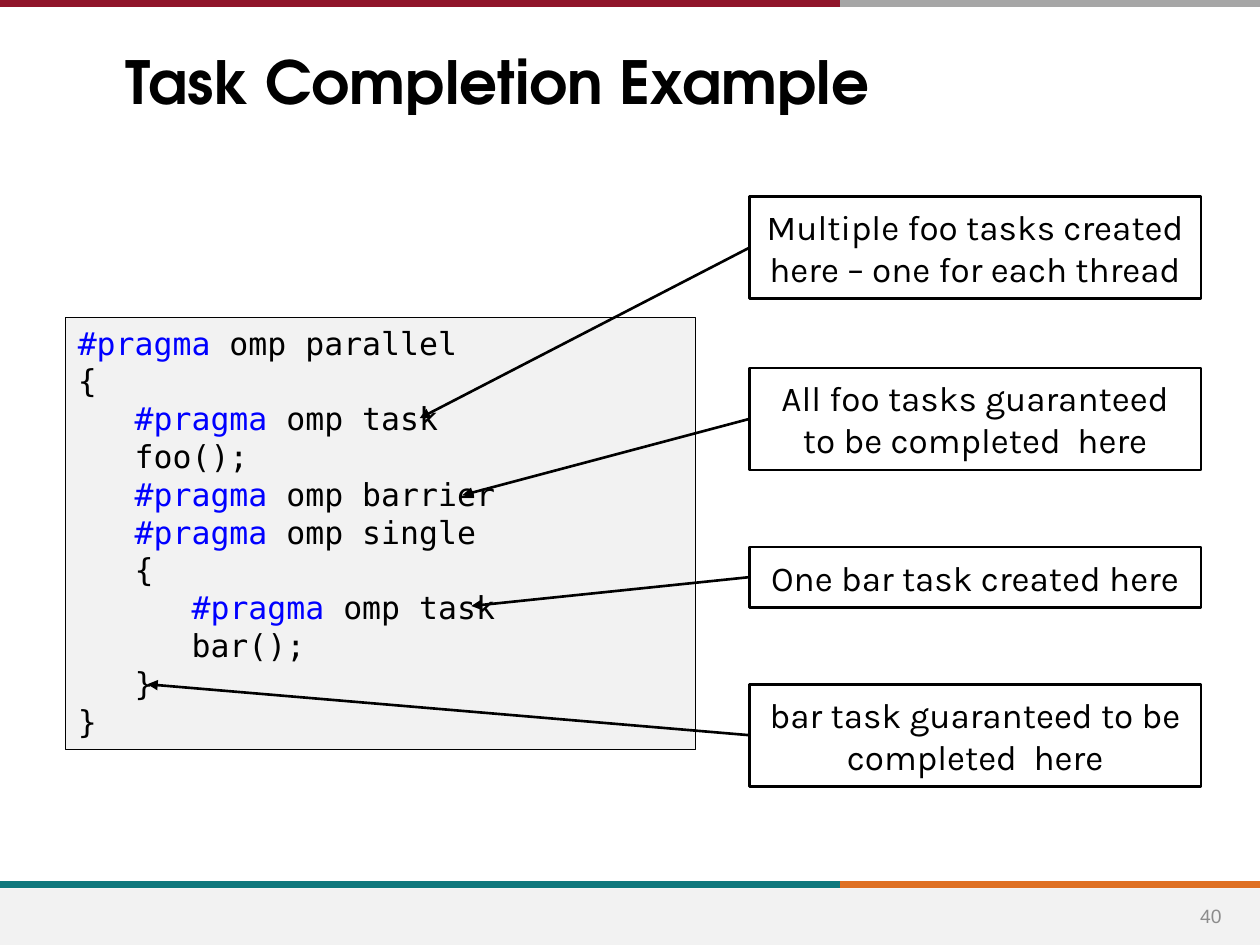
from lxml import etree
from pptx import Presentation
from pptx.dml.color import RGBColor
from pptx.enum.shapes import MSO_CONNECTOR, MSO_SHAPE
from pptx.enum.text import MSO_ANCHOR, PP_ALIGN
from pptx.oxml.ns import qn
from pptx.util import Pt

STRAIGHT, RECT = MSO_CONNECTOR.STRAIGHT, MSO_SHAPE.RECTANGLE
LEFT, CENTER = PP_ALIGN.LEFT, PP_ALIGN.CENTER
TOP, MIDDLE = MSO_ANCHOR.TOP, MSO_ANCHOR.MIDDLE
WIDTH, HEIGHT, SPLIT = 720, 540, 480

COLORS = {
    "black": "000000", "keyword": "0000FF", "panel": "F2F2F2", "number": "8C8C8C",
    "crimson": "90152A", "gray": "A6A6A6", "teal": "0F787D", "orange": "DF7023",
}
STYLES = {
    "title": {"name": "TeX Gyre Adventor", "size": Pt(34), "bold": True},
    "code": {"name": "DejaVu Sans Mono", "size": Pt(18)},
    "callout": {"name": "Karla", "size": Pt(20)},
    "number": {"name": "Arial", "size": Pt(11)},
}
PRAGMA = "#pragma "
CODE = """#pragma omp parallel
{
   #pragma omp task
   foo();
   #pragma omp barrier
   #pragma omp single
   {
      #pragma omp task
      bar();
   }
}"""
CALLOUTS = [
    ("Multiple foo tasks created here – one for each thread", 112.3, 58.3, (239.8, 239)),
    ("All foo tasks guaranteed to be completed  here", 210.2, 58.3, (264.2, 283)),
    ("One bar task created here", 312.5, 34.6, (269.3, 346.3)),
    ("bar task guaranteed to be completed  here", 391, 58.3, (84.2, 391)),
]


def rgb(color):
    """Return the named colour."""
    return RGBColor.from_string(COLORS[color])


def add_run(paragraph, text, style, color="black"):
    """Append a run in the given style and colour."""
    run = paragraph.add_run()
    run.text = text
    for attribute, value in STYLES[style].items():
        setattr(run.font, attribute, value)
    run.font.color.rgb = rgb(color)


def add_line(slide, start, end, color, width, arrow=False):
    """Draw a straight line, with an arrowhead at its end if asked."""
    line = slide.shapes.add_connector(STRAIGHT, *map(Pt, (*start, *end)))
    line.line.color.rgb = rgb(color)
    line.line.width = Pt(width)
    if arrow:
        etree.SubElement(line.line._get_or_add_ln(), qn("a:tailEnd"), type="triangle")
    etree.SubElement(line._element.spPr, qn("a:effectLst"))


def add_box(slide, box, fill=None, border=None):
    """Draw a rectangle with an optional fill and black border."""
    shape = slide.shapes.add_shape(RECT, *map(Pt, box))
    shape.shadow.inherit = False
    if fill:
        shape.fill.solid()
        shape.fill.fore_color.rgb = rgb(fill)
    else:
        shape.fill.background()
    if border:
        shape.line.color.rgb = rgb("black")
        shape.line.width = Pt(border)
    else:
        shape.line.fill.background()
    return shape


def set_frame(shape, anchor, alignment):
    """Set up wrapping text and return its first paragraph."""
    frame = shape.text_frame
    frame.word_wrap = True
    frame.vertical_anchor = anchor
    frame.paragraphs[0].alignment = alignment
    return frame.paragraphs[0]


def add_label(slide, box, text, style, color, anchor, alignment):
    """Place a plain line of text in the box."""
    label = slide.shapes.add_textbox(*map(Pt, box))
    add_run(set_frame(label, anchor, alignment), text, style, color)


def add_band(slide, y, left_color, right_color):
    """Draw a two-coloured rule across the slide."""
    add_line(slide, (SPLIT, y), (WIDTH, y), right_color, 4)
    add_line(slide, (0, y), (SPLIT, y), left_color, 4)


def add_footer(slide, box, number):
    """Draw the footer panel with its rule and page number."""
    left, top, width, height = box
    add_band(slide, top - 2, "teal", "orange")
    add_box(slide, box, "panel")
    add_label(slide, (left + width - 46.8, top + 1.4, 37.4, 28.8), number,
              "number", "number", MIDDLE, CENTER)


def add_code(slide, box):
    """Write the listing with coloured pragmas."""
    panel = add_box(slide, box, "panel", 0.75)
    paragraph = set_frame(panel, TOP, LEFT)
    for index, line in enumerate(CODE.splitlines()):
        if index:
            paragraph = panel.text_frame.add_paragraph()
            paragraph.alignment = LEFT
        before, keyword, after = line.rpartition(PRAGMA)
        for text, color in ((before, "black"), (keyword, "keyword"), (after, "black")):
            if text:
                add_run(paragraph, text, "code", color)


def add_callout(slide, box, text, target):
    """Draw a bordered note with an arrow from its left side to the target."""
    left, top, _, height = box
    note = add_box(slide, box, border=1.5)
    add_run(set_frame(note, MIDDLE, CENTER), text, "callout")
    add_line(slide, (left, top + height / 2), target, "black", 1.5, arrow=True)


def main():
    """Build and save the slide."""
    deck = Presentation()
    deck.slide_width, deck.slide_height = Pt(WIDTH), Pt(HEIGHT)
    slide = deck.slides.add_slide(deck.slide_layouts[6])
    add_band(slide, 2, "crimson", "gray")
    add_footer(slide, (0, 507.6, WIDTH, 32.4), "40")
    add_label(slide, (64.8, 22.3, 594, 114.5), "Task Completion Example",
              "title", "black", TOP, LEFT)
    add_code(slide, (37.4, 181.4, 360, 247))
    for text, top, height, target in CALLOUTS:
        add_callout(slide, (428.4, top, 257.8, height), text, target)
    deck.save("out.pptx")


if __name__ == "__main__":
    main()
